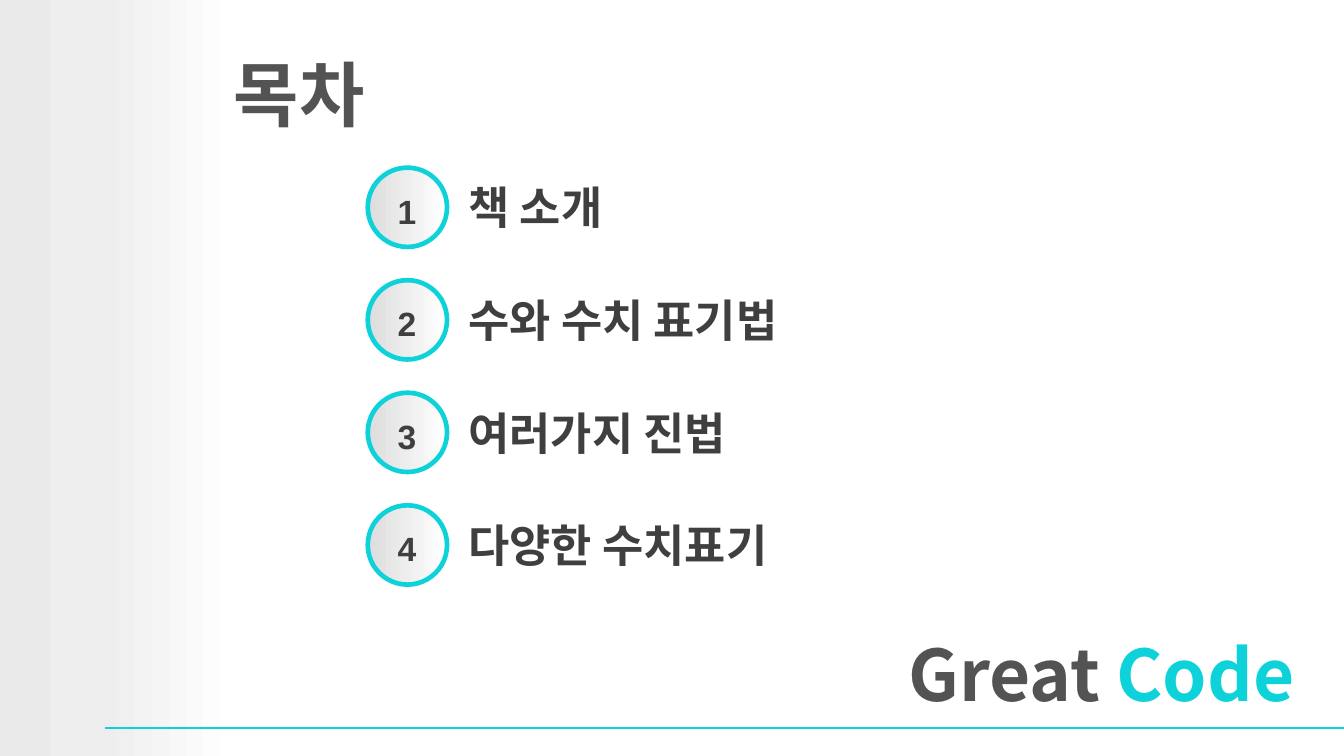
"""Build a contents slide with four numbered topics."""
from dataclasses import dataclass

from lxml import etree
from pptx import Presentation
from pptx.dml.color import RGBColor
from pptx.enum.shapes import MSO_CONNECTOR, MSO_SHAPE
from pptx.enum.text import MSO_ANCHOR, MSO_AUTO_SIZE, PP_ALIGN
from pptx.oxml.ns import qn
from pptx.util import Pt

RECT, OVAL = MSO_SHAPE.RECTANGLE, MSO_SHAPE.OVAL
STRAIGHT = MSO_CONNECTOR.STRAIGHT
TOP, MIDDLE = MSO_ANCHOR.TOP, MSO_ANCHOR.MIDDLE
LEFT, CENTER = PP_ALIGN.LEFT, PP_ALIGN.CENTER
FIXED, GROW = MSO_AUTO_SIZE.NONE, MSO_AUTO_SIZE.SHAPE_TO_FIT_TEXT


@dataclass(frozen=True)
class Theme:
    accent: str = "0DD2D9"
    head: str = "535353"
    body: str = "3F3F3F"
    band: tuple = ((0, "EAEAEA"), (42, "EEEEEE"), (100, "FFFFFF"))
    disc: tuple = ((0, "DDDDDD"), (100, "FFFFFF"))
    font: str = "Noto Sans CJK KR"
    digit: str = "Arial"
    large: int = 38
    medium: int = 24
    small: int = 18


class Page:
    def __init__(self, slide, theme):
        self.slide, self.theme = slide, theme
        self.home = slide.shapes

    def group(self):
        self.home = self.slide.shapes.add_group_shape().shapes

    def shape(self, kind, box, stops, edge=None):
        shape = self.home.add_shape(kind, *map(Pt, box))
        shape.shadow.inherit = False
        shape.fill.gradient()
        shape.fill.gradient_angle = 0
        ramp = shape._element.spPr.find(qn("a:gradFill")).find(qn("a:gsLst"))
        for old in list(ramp):
            ramp.remove(old)
        for place, color in stops:
            stop = etree.SubElement(ramp, qn("a:gs"), pos=str(place * 1000))
            etree.SubElement(stop, qn("a:srgbClr"), val=color)
        if edge:
            shape.line.color.rgb = RGBColor.from_string(self.theme.accent)
            shape.line.width = Pt(edge)
        else:
            shape.line.fill.background()

    def line(self, start, end):
        line = self.home.add_connector(STRAIGHT, *map(Pt, start + end))
        line.line.color.rgb = RGBColor.from_string(self.theme.accent)
        line.line.width = Pt(1)
        etree.SubElement(line._element.spPr, qn("a:effectLst"))

    def label(self, shape, parts, size, font, anchor=MIDDLE, align=LEFT, fit=FIXED):
        frame = shape.text_frame
        frame.word_wrap, frame.auto_size = True, fit
        frame.vertical_anchor = anchor
        frame.margin_left = frame.margin_right = Pt(3.6)
        frame.margin_top = frame.margin_bottom = Pt(3.6)
        para = frame.paragraphs[0]
        para.alignment = align
        style = para.font
        style.size, style.bold, style.name = Pt(size), True, font
        etree.SubElement(style._rPr, qn("a:ea"), typeface=font)
        for words, color in parts:
            run = para.add_run()
            run.text = words
            run.font.color.rgb = RGBColor.from_string(color)
        return para

    def text(self, box, words, color, size, font, **style):
        shape = self.home.add_textbox(*map(Pt, box))
        return self.label(shape, [(words, color)], size, font, **style)

    def title(self, box, parts):
        shape = self.slide.shapes.title
        shape.left, shape.top, shape.width, shape.height = map(Pt, box)
        self.label(shape, parts, self.theme.large, self.theme.font)

    def topic(self, left, top, number, words):
        look = self.theme
        self.group()
        self.shape(OVAL, (left, top, 42.5, 42.5), look.disc, 2.5)
        para = self.text((left + 7, top + 7.2, 28, 27.4), str(number), look.body,
                         look.small, look.digit, align=CENTER, fit=GROW)
        para.line_spacing = 1.2
        self.text((left + 50.4, top + 3.2, 275.8, 33.8), words, look.body,
                  look.medium, look.font, anchor=TOP, fit=GROW)


def main():
    deck = Presentation()
    deck.slide_width, deck.slide_height = Pt(720), Pt(405)
    look = Theme()
    page = Page(deck.slides.add_slide(deck.slide_layouts[5]), look)
    page.shape(RECT, (0, 0, 127.5, 405), look.band)
    page.line((56.2, 390), (720, 390))
    page.title((483.1, 329.8, 595.4, 61.2),
               [("Great ", look.head), ("Code", look.accent)])
    page.text((121.7, 19.4, 595.4, 61.2), "목차", look.head, look.large, look.font)
    topics = ("책 소개", "수와 수치 표기법", "여러가지 진법", "다양한 수치표기")
    for index, words in enumerate(topics):
        page.topic(197, 89.8 + 60.3 * index, index + 1, words)
    deck.save("out.pptx")


if __name__ == "__main__":
    main()
